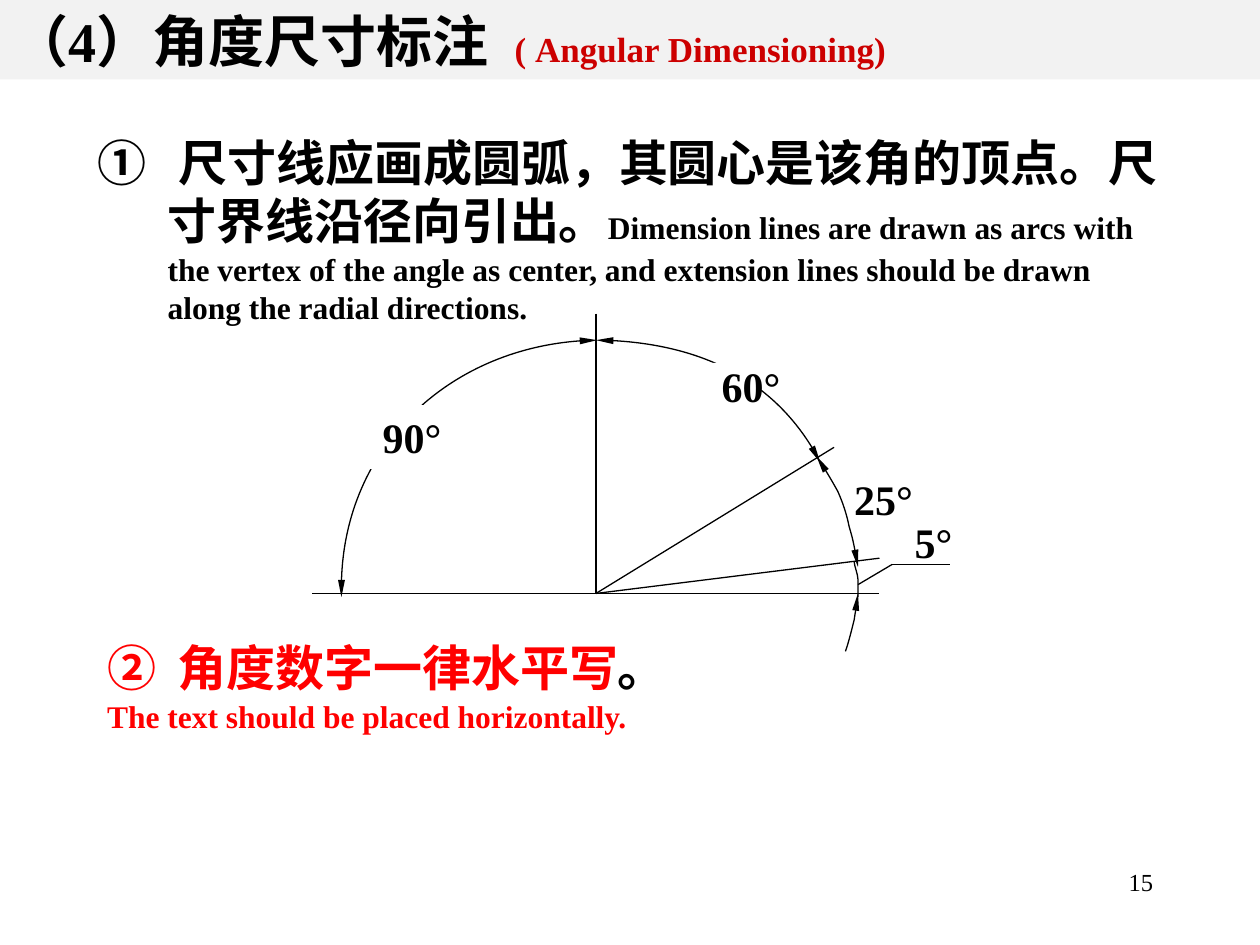
from pptx import Presentation
from pptx.dml.color import RGBColor
from pptx.enum.shapes import MSO_CONNECTOR as Connector, MSO_SHAPE as Preset
from pptx.enum.text import MSO_ANCHOR as Anchor, MSO_AUTO_SIZE as AutoSize, PP_ALIGN as Align
from pptx.oxml.ns import qn
from pptx.oxml.xmlchemy import OxmlElement
from pptx.util import Inches, Pt

FONT = "Times New Roman"
BLACK, RED, WHITE = "000000", "FF0000", "FFFFFF"
VERTEX = (4.73, 4.71)


def rgb(value):
    return RGBColor.from_string(value)


def place(box, left, top, width, height):
    box.left, box.top = Inches(left), Inches(top)
    box.width, box.height = Inches(width), Inches(height)


def prepare_frame(box, anchor=Anchor.MIDDLE):
    frame = box.text_frame
    frame.auto_size = AutoSize.NONE
    frame.word_wrap = True
    frame.vertical_anchor = anchor
    frame.margin_left = frame.margin_right = Inches(0.1)
    frame.margin_top = frame.margin_bottom = Inches(0.05)
    return frame


def add_text(paragraph, text, size=28, color=BLACK, bold=True, align=Align.LEFT):
    paragraph.alignment = align
    paragraph.line_spacing = 1.0
    paragraph.space_before = paragraph.space_after = Pt(0)
    run = paragraph.add_run()
    run.text = text
    run.font.name = FONT
    run.font.size = Pt(size)
    run.font.bold = bold
    run.font.color.rgb = rgb(color)


def set_bullet(paragraph, number=None):
    properties = paragraph._p.get_or_add_pPr()
    hanging = Inches(0.56) if number else 0
    properties.set("marL", str(hanging))
    properties.set("indent", str(-hanging))
    bullet = OxmlElement("a:buAutoNum" if number else "a:buNone")
    if number:
        bullet.set("type", "circleNumDbPlain")
        bullet.set("startAt", str(number))
    properties.append(bullet)


def style_line(outlined, weight=0.75, head=False, tail=False):
    outlined.line.color.rgb = rgb(BLACK)
    outlined.line.width = Pt(weight)
    for tag, wanted in (("a:headEnd", head), ("a:tailEnd", tail)):
        if wanted:
            arrow = OxmlElement(tag)
            arrow.set("type", "triangle")
            arrow.set("w", "sm")
            arrow.set("len", "lg")
            outlined.line._get_or_add_ln().append(arrow)


def add_line(slide, start, end, weight=0.75):
    line = slide.shapes.add_connector(
        Connector.STRAIGHT, *(Inches(value) for value in (*start, *end)))
    style_line(line, weight)
    line._element.spPr.append(OxmlElement("a:effectLst"))


def bend(segment, controls, arc):
    curve = OxmlElement("a:cubicBezTo")
    for x, y in controls:
        point = OxmlElement("a:pt")
        point.set("x", str(Inches(x) - arc.left))
        point.set("y", str(Inches(y) - arc.top))
        curve.append(point)
    segment.getparent().replace(segment, curve)


def add_arc(slide, points, head=False, tail=False):
    builder = slide.shapes.build_freeform(*(Inches(value) for value in points[0]))
    ends = [(Inches(x), Inches(y)) for x, y in points[3::3]]
    builder.add_line_segments(ends, close=False)
    arc = builder.convert_to_shape()
    for index, segment in enumerate(list(arc._element.iter(qn("a:lnTo")))):
        bend(segment, points[3 * index + 1:3 * index + 4], arc)
    arc.shadow.inherit = False
    arc.fill.background()
    style_line(arc, head=head, tail=tail)


def add_mask(slide, bounds, rotation=0):
    mask = slide.shapes.add_shape(Preset.RECTANGLE, *(Inches(value) for value in bounds))
    mask.shadow.inherit = False
    mask.rotation = rotation
    mask.fill.solid()
    mask.fill.fore_color.rgb = rgb(WHITE)
    mask.line.color.rgb = rgb(WHITE)
    mask.line.width = Pt(0.75)
    return mask


def add_label(slide, text, bounds, anchor=Anchor.MIDDLE, **text_format):
    label = slide.shapes.add_textbox(*(Inches(value) for value in bounds))
    add_text(prepare_frame(label, anchor).paragraphs[0], text, **text_format)


def add_title(slide):
    title = slide.shapes.title
    place(title, 0, 0, 10, 0.63)
    title.fill.solid()
    title.fill.fore_color.rgb = rgb("F2F2F2")
    heading = prepare_frame(title).paragraphs[0]
    add_text(heading, "（4）角度尺寸标注  ", size=32)
    add_text(heading, "( Angular Dimensioning)", size=20, color="CC0000")


def add_rules(slide):
    arc_rule, text_rule = slide.placeholders[1], slide.placeholders[2]
    place(arc_rule, 0.67, 0.99, 8.68, 1.65)
    rule = prepare_frame(arc_rule).paragraphs[0]
    add_text(rule, " 尺寸线应画成圆弧，其圆心是该角的顶点。尺寸界线沿径向引出。")
    add_text(rule, "Dimension lines are drawn as arcs with the vertex of the angle as center, "
                   "and extension lines should be drawn along the radial directions.", size=18)
    set_bullet(rule, 1)

    place(text_rule, 0.75, 5.01, 7.98, 0.87)
    frame = prepare_frame(text_rule)
    rule = frame.paragraphs[0]
    add_text(rule, "角度数字一律水平写", color=RED)
    add_text(rule, "。")
    set_bullet(rule, 2)
    translation = frame.add_paragraph()
    add_text(translation, "The text should be placed horizontally.", size=18, color=RED)
    set_bullet(translation)


def add_diagram(slide):
    add_arc(slide, [(4.74, 2.7), (3.62, 2.71), (2.71, 3.58), (2.71, 4.66),
                    (2.71, 4.69), (2.71, 4.71), (2.71, 4.74)], head=True, tail=True)
    add_line(slide, (2.48, 4.71), (6.98, 4.71), weight=1)
    add_line(slide, (4.73, 2.49), VERTEX, weight=1)
    for ray_end in ((6.62, 3.55), (6.98, 4.43)):
        add_line(slide, VERTEX, ray_end)
    add_arc(slide, [(4.73, 2.7), (5.52, 2.7), (6.22, 3.08), (6.51, 3.67)],
            head=True, tail=True)
    add_arc(slide, [(6.48, 3.62), (6.51, 3.66), (6.6, 3.81), (6.65, 3.9),
                    (6.69, 3.99), (6.72, 4.08), (6.74, 4.18),
                    (6.77, 4.28), (6.8, 4.43), (6.81, 4.5)], head=True, tail=True)
    add_arc(slide, [(6.78, 4.46), (6.78, 4.49), (6.81, 4.56), (6.81, 4.6),
                    (6.81, 4.65), (6.81, 4.72), (6.81, 4.74)])
    add_arc(slide, [(6.81, 4.71), (6.81, 4.75), (6.79, 4.85), (6.78, 4.92),
                    (6.76, 5), (6.73, 5.12), (6.71, 5.17)], head=True)

    right_angle = add_mask(slide, (2.82, 3.22, 0.9, 0.5))
    add_text(prepare_frame(right_angle).paragraphs[0], "90°", size=24, align=Align.CENTER)
    add_mask(slide, (5.4, 2.88, 0.98, 0.21), rotation=358.8)
    for angle, bounds, align in (("60°", (5.48, 2.81, 0.96, 0.5), Align.CENTER),
                                 ("25°", (6.68, 3.71, 0.87, 0.5), Align.LEFT),
                                 ("5°", (6.98, 4.05, 0.86, 0.5), Align.CENTER)):
        add_label(slide, angle, bounds, size=24, align=align)
    add_line(slide, (6.81, 4.64), (7.08, 4.48))
    add_line(slide, (7.08, 4.48), (7.54, 4.48))


def main():
    deck = Presentation()
    deck.slide_width, deck.slide_height = Inches(10), Inches(7.5)
    slide = deck.slides.add_slide(deck.slide_layouts[3])
    add_title(slide)
    add_rules(slide)
    add_diagram(slide)
    add_label(slide, "15", (7.17, 6.83, 2.08, 0.5), Anchor.TOP,
              size=14, bold=False, align=Align.RIGHT)
    deck.save("out.pptx")


if __name__ == "__main__":
    main()
